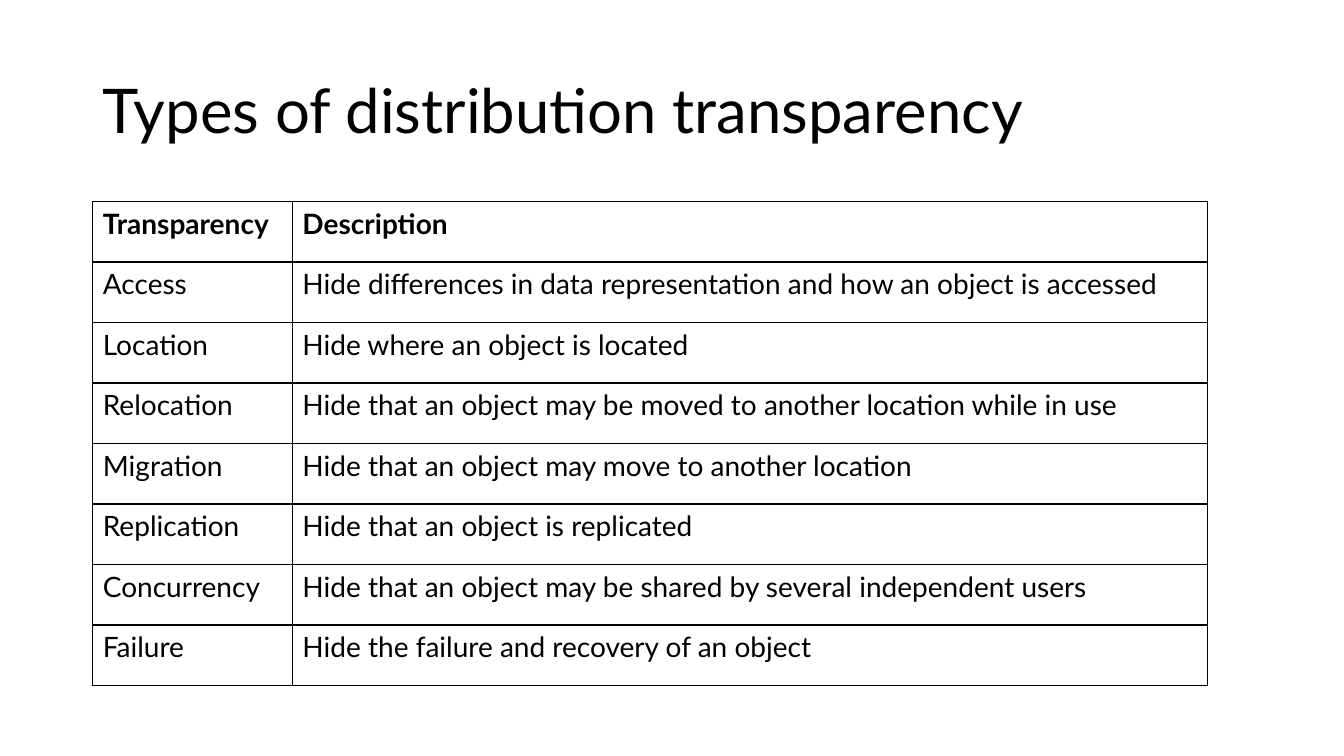
from typing import NamedTuple

from lxml import etree
from pptx import Presentation
from pptx.dml.color import RGBColor
from pptx.enum.text import MSO_ANCHOR, PP_ALIGN
from pptx.oxml.ns import qn
from pptx.util import Inches, Pt

BLACK = RGBColor(0x00, 0x00, 0x00)
WHITE = RGBColor(0xFF, 0xFF, 0xFF)
FONT = "Lato"
LEFT = PP_ALIGN.LEFT
TOP, MIDDLE = MSO_ANCHOR.TOP, MSO_ANCHOR.MIDDLE
TITLE_ONLY = 5
BORDER_TAGS = ("a:lnL", "a:lnR", "a:lnT", "a:lnB")
COLUMN_WIDTHS = (1.98, 9.08)
ROW_HEIGHT = 0.6


class Entry(NamedTuple):
    transparency: str
    description: str


ENTRIES = (
    Entry("Transparency", "Description"),
    Entry("Access", "Hide differences in data representation and how an object is accessed"),
    Entry("Location", "Hide where an object is located"),
    Entry("Relocation", "Hide that an object may be moved to another location while in use"),
    Entry("Migration", "Hide that an object may move to another location"),
    Entry("Replication", "Hide that an object is replicated"),
    Entry("Concurrency", "Hide that an object may be shared by several independent users"),
    Entry("Failure", "Hide the failure and recovery of an object"),
)


def write_text(tf, text: str, *, size: float, bold: bool = False,
               line_spacing: float = 1.0) -> None:
    p = tf.paragraphs[0]
    p.alignment = LEFT
    p.line_spacing = line_spacing
    r = p.add_run()
    r.text = text
    r.font.name = FONT
    r.font.size = Pt(size)
    r.font.bold = bold
    r.font.color.rgb = BLACK


def add_borders(cell, width: float = 1) -> None:
    tc_pr = cell._tc.get_or_add_tcPr()
    for tag in BORDER_TAGS:
        ln = etree.SubElement(tc_pr, qn(tag), w=str(Pt(width)))
        fill = etree.SubElement(ln, qn("a:solidFill"))
        etree.SubElement(fill, qn("a:srgbClr"), val=str(BLACK))


def add_title(slide, text: str) -> None:
    sp = slide.shapes.title
    sp.left, sp.top = Inches(0.92), Inches(0.4)
    sp.width, sp.height = Inches(11.5), Inches(1.45)
    tf = sp.text_frame
    tf.word_wrap = True
    tf.vertical_anchor = MIDDLE
    write_text(tf, text, size=44, line_spacing=0.9)


def add_transparency_table(slide) -> None:
    table = slide.shapes.add_table(
        len(ENTRIES), len(COLUMN_WIDTHS), Inches(0.92), Inches(2),
        Inches(sum(COLUMN_WIDTHS)), Inches(ROW_HEIGHT * len(ENTRIES))).table
    table.horz_banding = False
    for column, width in zip(table.columns, COLUMN_WIDTHS):
        column.width = Inches(width)
    for i, entry in enumerate(ENTRIES):
        table.rows[i].height = Inches(ROW_HEIGHT)
        for j, text in enumerate(entry):
            cell = table.cell(i, j)
            cell.vertical_anchor = TOP
            add_borders(cell)
            cell.fill.solid()
            cell.fill.fore_color.rgb = WHITE
            write_text(cell.text_frame, text, size=20, bold=i == 0)


def main() -> None:
    prs = Presentation()
    prs.slide_width, prs.slide_height = Inches(13.33), Inches(7.5)
    slide = prs.slides.add_slide(prs.slide_layouts[TITLE_ONLY])
    add_title(slide, "Types of distribution transparency")
    add_transparency_table(slide)
    prs.save("out.pptx")


if __name__ == "__main__":
    main()
